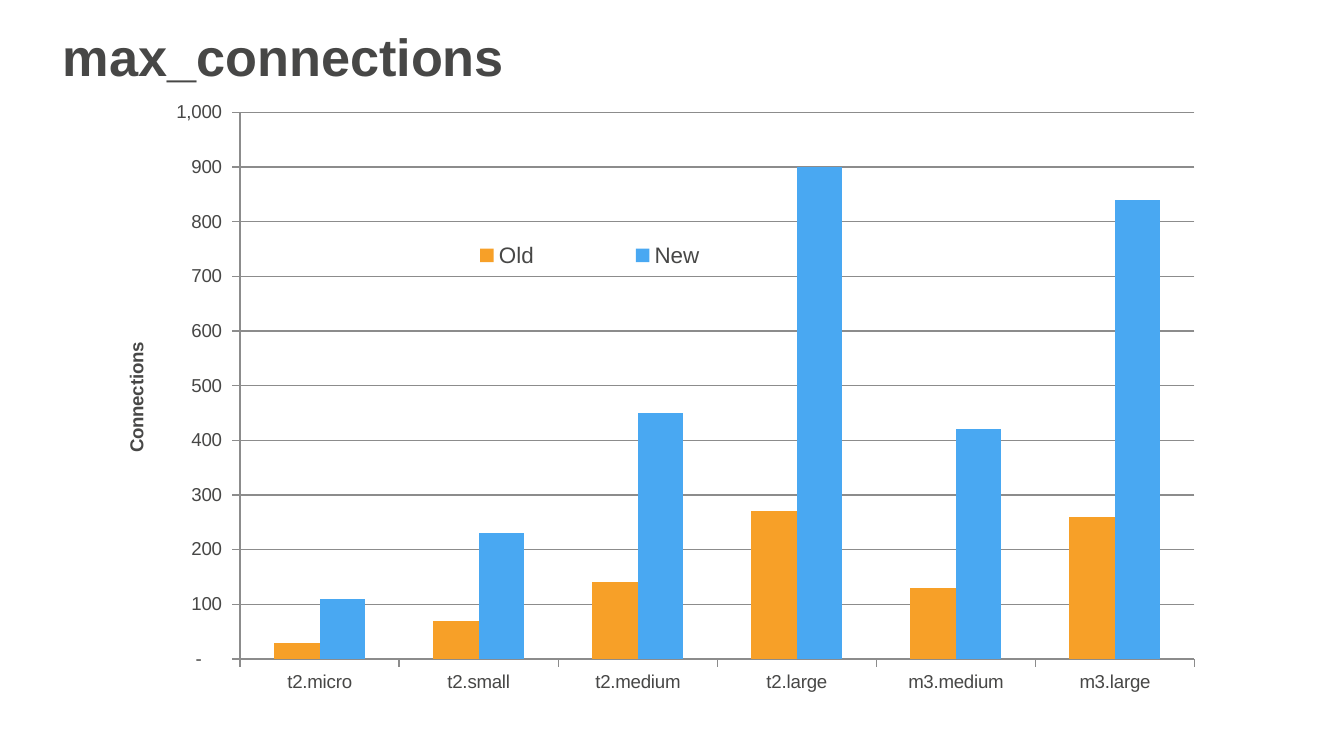
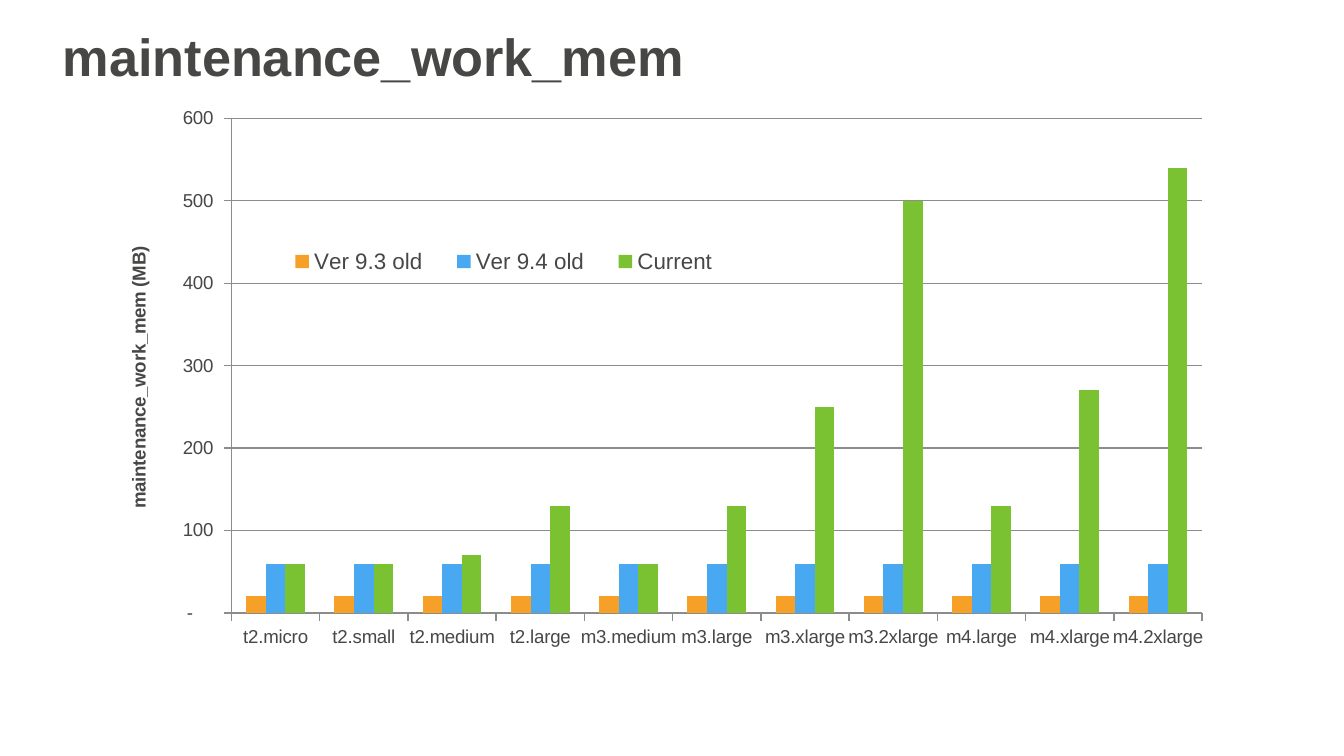
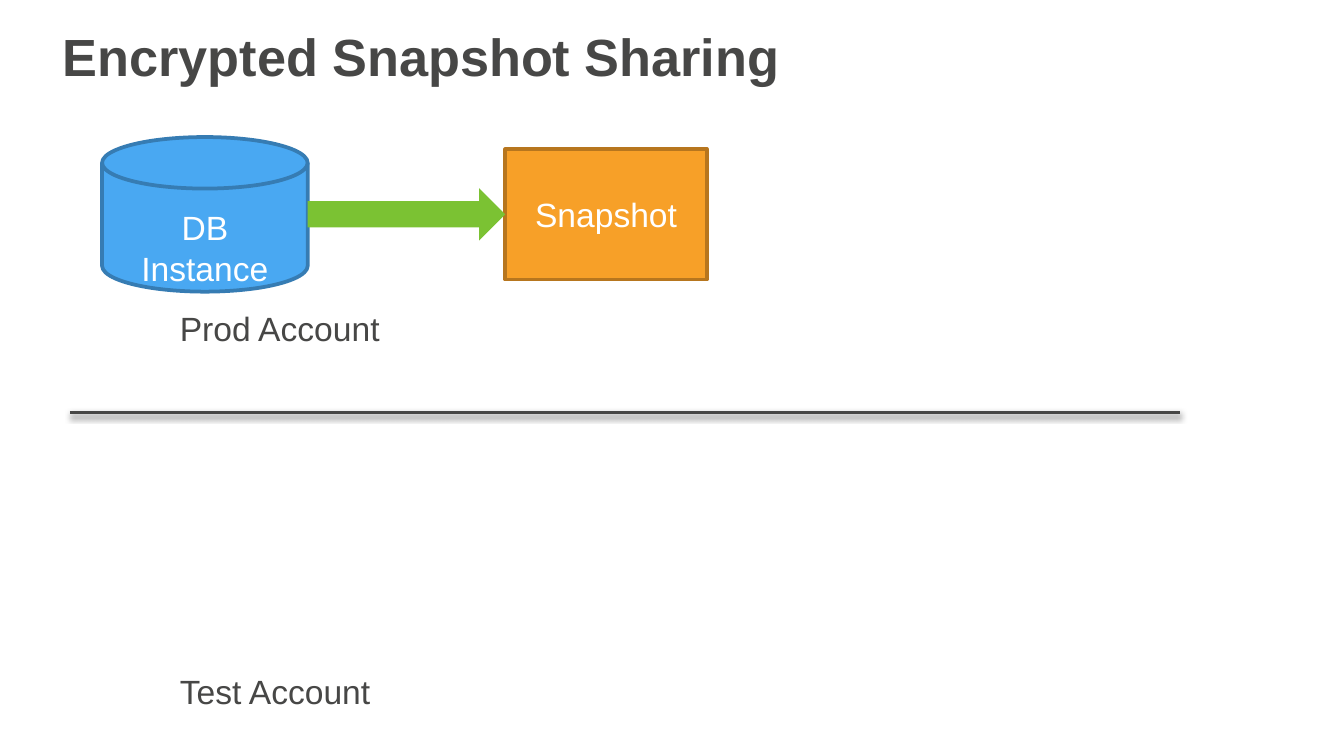
import pptx
import pptx.chart.data
import pptx.dml.color
import pptx.enum.chart
import pptx.enum.shapes
import pptx.enum.text
import pptx.oxml
import pptx.oxml.ns
import pptx.util

# Shared style
WIDTH = 10
HEIGHT = WIDTH * 9 / 16
FONT = "Arial"
INK, WHITE, GRID = "474746", "FFFFFF", "8C8C8C"
ORANGE, BLUE, GREEN = "F7A028", "49A8F2", "7BC233"
ORANGE_EDGE, BLUE_EDGE = "B7761E", "367CB3"
TITLE_AREA = (0.37, 0.13, 8.97, 0.6)
AMOUNT_FORMAT = r'_(* #,##0_);_(* \(#,##0\);_(* "-"??_);_('

# Content: layouts are x, y, width and height as shares of the chart
CHARTS = [
    {
        "title": "max_connections",
        "axis": "Connections",
        "area": (0.9, 0.7, 8.21, 4.9),
        "plot": (0.108, 0.028, 0.865, 0.83),
        "legend": (0.24, 0.21, 0.37, 0.07),
        "top": 1000,
        "categories": ["t2.micro", "t2.small", "t2.medium", "t2.large",
                       "m3.medium", "m3.large"],
        "series": [
            ("Old", ORANGE, [30, 70, 140, 270, 130, 260]),
            ("New", BLUE, [110, 230, 450, 900, 420, 840]),
        ],
    },
    {
        "title": "maintenance_work_mem",
        "axis": "maintenance_work_mem (MB)",
        "area": (0.83, 0.74, 8.34, 4.55),
        "plot": (0.107, 0.031, 0.866, 0.809),
        "legend": (0.14, 0.23, 0.42, 0.07),
        "top": 600,
        "categories": ["t2.micro", "t2.small", "t2.medium", "t2.large",
                       "m3.medium", "m3.large", "m3.xlarge", "m3.2xlarge",
                       "m4.large", "m4.xlarge", "m4.2xlarge"],
        "series": [
            ("Ver 9.3 old", ORANGE, [20] * 11),
            ("Ver 9.4 old", BLUE, [60] * 11),
            ("Current", GREEN,
             [60, 60, 70, 130, 60, 130, 250, 500, 130, 270, 540]),
        ],
    },
]

SHARING_TITLE = "Encrypted Snapshot Sharing"
DATABASE = ("DB Instance", (0.76, 1.02, 1.53, 1.15))
SNAPSHOT = ("Snapshot", (3.76, 1.11, 1.5, 0.97))
ARROW_HEIGHT = 0.39
DIVIDER = (0.52, 8.78, 3.07)
ACCOUNTS = [("Prod Account", (1.24, 2.24, 1.7, 0.4)),
            ("Test Account", (1.24, 4.94, 1.63, 0.4))]


# Helpers
def color(hex_code):
    return pptx.dml.color.RGBColor.from_string(hex_code)


def inches(lengths):
    return [pptx.util.Inches(length) for length in lengths]


def style_font(font, size, hex_code=INK, bold=False):
    font.name, font.size, font.bold = FONT, pptx.util.Pt(size), bold
    font.color.rgb = color(hex_code)


def write(shape, text, size, hex_code=INK, bold=False, centered=False):
    anchor, align = pptx.enum.text.MSO_ANCHOR, pptx.enum.text.PP_ALIGN
    frame = shape.text_frame
    frame.vertical_anchor = anchor.MIDDLE if centered else anchor.TOP
    para = frame.paragraphs[0]
    para.alignment = align.CENTER if centered else align.LEFT
    span = para.add_run()
    span.text = text
    style_font(span.font, size, hex_code, bold)


def add_label(page, text, area, size, bold=False, wrap=False):
    box = page.shapes.add_textbox(*inches(area))
    box.text_frame.word_wrap = wrap
    write(box, text, size, bold=bold)


def add_page(deck, title):
    page = deck.slides.add_slide(deck.slide_layouts[6])
    add_label(page, title, TITLE_AREA, 28, bold=True, wrap=True)
    return page


def add_block(page, kind, area, fill, edge=None):
    shape = page.shapes.add_shape(kind, *inches(area))
    shape.shadow.inherit = False
    shape.fill.solid()
    shape.fill.fore_color.rgb = color(fill)
    if edge:
        shape.line.color.rgb = color(edge)
        shape.line.width = pptx.util.Pt(2)
    else:
        shape.line.fill.background()
    return shape


def place_part(part, index, shares, inner=False):
    """Give a plot area or legend a manual layout."""
    for old in part.findall(pptx.oxml.ns.qn("c:layout")):
        part.remove(old)
    target = '<c:layoutTarget val="inner"/>' if inner else ""
    modes = '<c:xMode val="edge"/><c:yMode val="edge"/>'
    sizes = "".join(f'<c:{name} val="{share}"/>'
                    for name, share in zip("xywh", shares))
    part.insert(index, pptx.oxml.parse_xml(
        f'<c:layout {pptx.oxml.ns.nsdecls("c")}><c:manualLayout>'
        f"{target}{modes}{sizes}</c:manualLayout></c:layout>"))


# Chart pages
def add_chart_page(deck, content):
    page = add_page(deck, content["title"])
    data = pptx.chart.data.CategoryChartData()
    data.categories = content["categories"]
    for name, _, values in content["series"]:
        data.add_series(name, values)
    chart = page.shapes.add_chart(
        pptx.enum.chart.XL_CHART_TYPE.COLUMN_CLUSTERED,
        *inches(content["area"]), data).chart
    chart.has_title = False
    style_font(chart.font, 10)

    plot = chart.plots[0]
    plot.gap_width, plot.overlap, plot.vary_by_categories = 150, 0, False
    for series, (_, fill, _) in zip(plot.series, content["series"]):
        series.format.fill.solid()
        series.format.fill.fore_color.rgb = color(fill)

    amounts = chart.value_axis
    amounts.minimum_scale, amounts.maximum_scale = 0, content["top"]
    amounts.major_unit = 100
    amounts.has_major_gridlines = True
    amounts.tick_labels.number_format = AMOUNT_FORMAT
    amounts.tick_labels.number_format_is_linked = False
    span = amounts.axis_title.text_frame.paragraphs[0].add_run()
    span.text = content["axis"]
    style_font(span.font, 10, bold=True)
    for axis in (amounts, chart.category_axis):
        axis.major_tick_mark = pptx.enum.chart.XL_TICK_MARK.OUTSIDE
    for part in (amounts, chart.category_axis, amounts.major_gridlines):
        part.format.line.color.rgb = color(GRID)
        part.format.line.width = pptx.util.Pt(0.75)

    chart.has_legend = True
    chart.legend.position = pptx.enum.chart.XL_LEGEND_POSITION.RIGHT
    chart.legend.include_in_layout = False
    style_font(chart.legend.font, 12)
    place_part(chart.element.xpath(".//c:plotArea")[0], 0,
               content["plot"], inner=True)
    place_part(chart.element.xpath(".//c:legend")[0], 1, content["legend"])


# Snapshot sharing page
def add_divider(page):
    left, right, level = DIVIDER
    line = page.shapes.add_connector(
        pptx.enum.shapes.MSO_CONNECTOR.STRAIGHT,
        *inches((left, level, right, level)))
    line.line.color.rgb = color(INK)
    line.line.width = pptx.util.Pt(2)
    line.element.spPr.append(pptx.oxml.parse_xml(
        f'<a:effectLst {pptx.oxml.ns.nsdecls("a")}>'
        '<a:outerShdw blurRad="40000" dist="20000" dir="5400000" '
        'rotWithShape="0"><a:srgbClr val="000000"><a:alpha val="38000"/>'
        "</a:srgbClr></a:outerShdw></a:effectLst>"))


def add_sharing_page(deck):
    page = add_page(deck, SHARING_TITLE)
    kinds = pptx.enum.shapes.MSO_SHAPE

    text, area = DATABASE
    database = add_block(page, kinds.FLOWCHART_MAGNETIC_DISK, area,
                         BLUE, BLUE_EDGE)
    write(database, text, 18, WHITE, centered=True)
    frame = database.text_frame
    frame.word_wrap = True
    frame.margin_left = frame.margin_right = pptx.util.Inches(0.15)
    frame.margin_top = pptx.util.Inches(0.35)

    text, target = SNAPSHOT
    snapshot = add_block(page, kinds.RECTANGLE, target, ORANGE, ORANGE_EDGE)
    write(snapshot, text, 18, WHITE, centered=True)

    # The arrow fills the gap between the two blocks
    start = area[0] + area[2]
    middle = target[1] + target[3] / 2
    add_block(page, kinds.RIGHT_ARROW,
              (start, middle - ARROW_HEIGHT / 2, target[0] - start,
               ARROW_HEIGHT), GREEN)

    add_divider(page)
    for text, area in ACCOUNTS:
        add_label(page, text, area, 18)


def main():
    deck = pptx.Presentation()
    deck.slide_width, deck.slide_height = inches((WIDTH, HEIGHT))
    for content in CHARTS:
        add_chart_page(deck, content)
    add_sharing_page(deck)
    deck.save("out.pptx")


if __name__ == "__main__":
    main()
